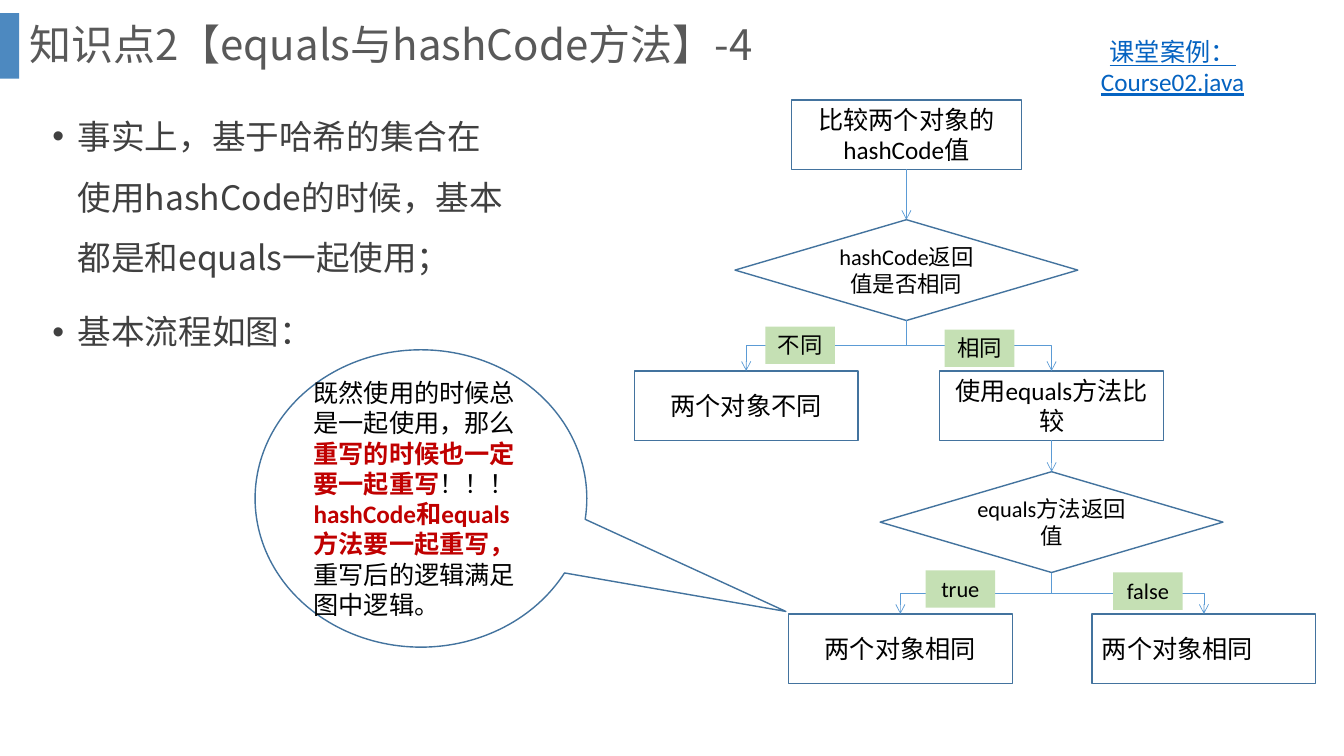
import pptx
import pptx.util
import pptx.dml.color
import pptx.enum.dml
import pptx.enum.shapes
import pptx.enum.text
import pptx.oxml.ns
import lxml.etree

Inches = pptx.util.Inches
Pt = pptx.util.Pt
SHAPE = pptx.enum.shapes.MSO_SHAPE
LINK = pptx.enum.shapes.MSO_CONNECTOR
ALIGN = pptx.enum.text.PP_ALIGN
ANCHOR = pptx.enum.text.MSO_ANCHOR

CJK = "Noto Sans CJK SC"
LATIN = "Calibri"
BLACK, RED = "000000", "C00000"
OUTLINE, ARROW = "43739E", "5B9BD5"
BAR, LABEL = "2E75B6", "C5E0B4"
TOP, BOTTOM = 0, 2


def paint(color_format, color):
    color_format.rgb = pptx.dml.color.RGBColor.from_string(color)


def add_xml(parent, tag, **attributes):
    child = lxml.etree.SubElement(parent, pptx.oxml.ns.qn(tag))
    for name, value in attributes.items():
        child.set(name, value)
    return child


def place(shape, left, top, width, height):
    shape.left, shape.top = Inches(left), Inches(top)
    shape.width, shape.height = Inches(width), Inches(height)


def add_run(paragraph, text, size, font=LATIN, color=BLACK, bold=False, underline=False):
    run = paragraph.add_run()
    run.text = text
    run.font.size = Pt(size)
    run.font.bold = bold
    run.font.underline = underline
    paint(run.font.color, color)
    run.font.name = font
    add_xml(run.font._element, "a:ea", typeface=CJK)


def add_title(slide, text):
    title = slide.shapes.title
    place(title, 0.19, 0, 12.66, 0.93)
    title.text_frame.auto_size = pptx.enum.text.MSO_AUTO_SIZE.NONE
    title.text_frame.vertical_anchor = ANCHOR.MIDDLE
    paragraph = title.text_frame.paragraphs[0]
    paragraph.alignment = ALIGN.LEFT
    paragraph.line_spacing = 0.9
    add_run(paragraph, text, 30, CJK, "595959")


def add_bullets(slide, items):
    body = slide.placeholders[1]
    place(body, 0.42, 0.9, 4.77, 3.98)
    frame = body.text_frame
    frame.auto_size = pptx.enum.text.MSO_AUTO_SIZE.NONE
    for index, item in enumerate(items):
        paragraph = frame.add_paragraph() if index else frame.paragraphs[0]
        paragraph.line_spacing = 1.5
        paragraph.space_before = Pt(10 if index else 0)
        properties = paragraph._p.get_or_add_pPr()
        properties.set("marL", str(Inches(0.25)))
        properties.set("indent", str(-Inches(0.25)))
        add_xml(properties, "a:buFont", typeface="Arial")
        add_xml(properties, "a:buChar", char="•")
        add_run(paragraph, item, 24, CJK, "404040")


def add_box(slide, kind, left, top, width, height, fill=None, line=None):
    box = slide.shapes.add_shape(
        kind, Inches(left), Inches(top), Inches(width), Inches(height))
    box.shadow.inherit = False
    if fill:
        box.fill.solid()
        paint(box.fill.fore_color, fill)
    else:
        box.fill.background()
    if line:
        paint(box.line.color, line)
        box.line.width = Pt(1)
    else:
        box.line.fill.background()
    return box


def add_accent_bar(slide):
    bar = add_box(slide, SHAPE.RECTANGLE, 0, 0.13, 0.19, 0.65, fill=BAR)
    color = bar.fill._xPr.find(".//" + pptx.oxml.ns.qn("a:srgbClr"))
    add_xml(color, "a:alpha", val="85000")


def add_case_link(slide, text):
    case = slide.shapes.add_textbox(Inches(10.49), Inches(0.31), Inches(2.28), Inches(0.71))
    case.text_frame.word_wrap = True
    paragraph = case.text_frame.paragraphs[0]
    paragraph.alignment = ALIGN.CENTER
    add_run(paragraph, text, 18, color="0563C1", underline=True)


def add_step(slide, text, center, top, width=2.22, align=ALIGN.CENTER):
    step = add_box(slide, SHAPE.RECTANGLE, center - width / 2, top, width, 0.69, line=OUTLINE)
    paragraph = step.text_frame.paragraphs[0]
    paragraph.alignment = align
    add_run(paragraph, text, 18)
    return step


def add_decision(slide, text, center, top):
    decision = add_box(slide, SHAPE.DIAMOND, center - 1.7, top, 3.4, 1, line=OUTLINE)
    paragraph = decision.text_frame.paragraphs[0]
    paragraph.alignment = ALIGN.CENTER
    add_run(paragraph, text, 16)
    return decision


def add_label(slide, text, left, top):
    label = add_box(slide, SHAPE.RECTANGLE, left, top, 0.69, 0.37, fill=LABEL)
    label.text_frame.vertical_anchor = ANCHOR.TOP
    paragraph = label.text_frame.paragraphs[0]
    paragraph.alignment = ALIGN.CENTER
    add_run(paragraph, text, 16)


def add_arrow(slide, source, target, kind=LINK.STRAIGHT):
    arrow = slide.shapes.add_connector(kind, 0, 0, 0, 0)
    arrow.begin_connect(source, BOTTOM)
    arrow.end_connect(target, TOP)
    paint(arrow.line.color, ARROW)
    arrow.line.width = Pt(0.5)
    add_xml(arrow.line._get_or_add_ln(), "a:tailEnd", type="arrow")
    add_xml(arrow._element.spPr, "a:effectLst")
    return arrow


def add_branch(slide, source, target):
    branch = add_arrow(slide, source, target, LINK.ELBOW)
    start_x, start_y = branch.begin_x, branch.begin_y
    end_x, end_y = branch.end_x, branch.end_y
    drop, reach = end_y - start_y, abs(end_x - start_x)
    branch.left = (start_x + end_x - drop) // 2
    branch.top = (start_y + end_y - reach) // 2
    branch.width, branch.height = drop, reach
    turn = branch._element.spPr.find(pptx.oxml.ns.qn("a:xfrm"))
    rightward = end_x > start_x
    turn.set("rot", str((270 if rightward else 90) * 60000))
    turn.set("flipH", "1" if rightward else "0")
    turn.set("flipV", "0")


def add_callout(slide, pieces):
    callout = add_box(slide, SHAPE.OVAL_CALLOUT, 2.53, 3.47, 3.29, 2.95, line=OUTLINE)
    callout.adjustments[0] = 1.1
    callout.adjustments[1] = 0.38
    paragraph = callout.text_frame.paragraphs[0]
    paragraph.alignment = ALIGN.LEFT
    for text, stressed in pieces:
        add_run(paragraph, text, 18, color=RED if stressed else BLACK, bold=stressed)


def add_flowchart(slide):
    hash_x, equals_x = 8.99, 10.43
    compare = add_step(slide, "比较两个对象的hashCode值", hash_x, 0.99, 2.28)
    same_hash = add_decision(slide, "hashCode返回值是否相同", hash_x, 2.18)
    different = add_step(slide, "两个对象不同", 7.4, 3.68)
    use_equals = add_step(slide, "使用equals方法比较", equals_x, 3.68)
    equals_result = add_decision(slide, "equals方法返回值", equals_x, 4.68)
    when_true = add_step(slide, "两个对象相同", 8.93, 6.09)
    when_false = add_step(slide, "两个对象相同", 11.94, 6.09, align=ALIGN.LEFT)

    add_arrow(slide, compare, same_hash)
    add_arrow(slide, use_equals, equals_result)
    for decision, outcomes in ((same_hash, (different, use_equals)),
                               (equals_result, (when_true, when_false))):
        for outcome in outcomes:
            add_branch(slide, decision, outcome)

    for text, left, top in (("不同", 7.59, 3.24), ("相同", 9.37, 3.27),
                            ("true", 9.18, 5.66), ("false", 11.04, 5.68)):
        add_label(slide, text, left, top)


def main():
    deck = pptx.Presentation()
    deck.slide_width, deck.slide_height = Inches(13.33), Inches(7.5)
    slide = deck.slides.add_slide(deck.slide_layouts[1])
    add_accent_bar(slide)
    add_title(slide, "知识点2【equals与hashCode方法】-4")
    add_bullets(slide, ("事实上，基于哈希的集合在使用hashCode的时候，基本都是和equals一起使用；",
                        "基本流程如图："))
    add_case_link(slide, "课堂案例：Course02.java")
    add_flowchart(slide)
    add_callout(slide, (("既然使用的时候总是一起使用，那么", False),
                        ("重写的时候也一定要一起重写", True),
                        ("！！！", False),
                        ("hashCode和equals方法要一起重写，", True),
                        ("重写后的逻辑满足图中逻辑。", False)))
    deck.save("out.pptx")


if __name__ == "__main__":
    main()
